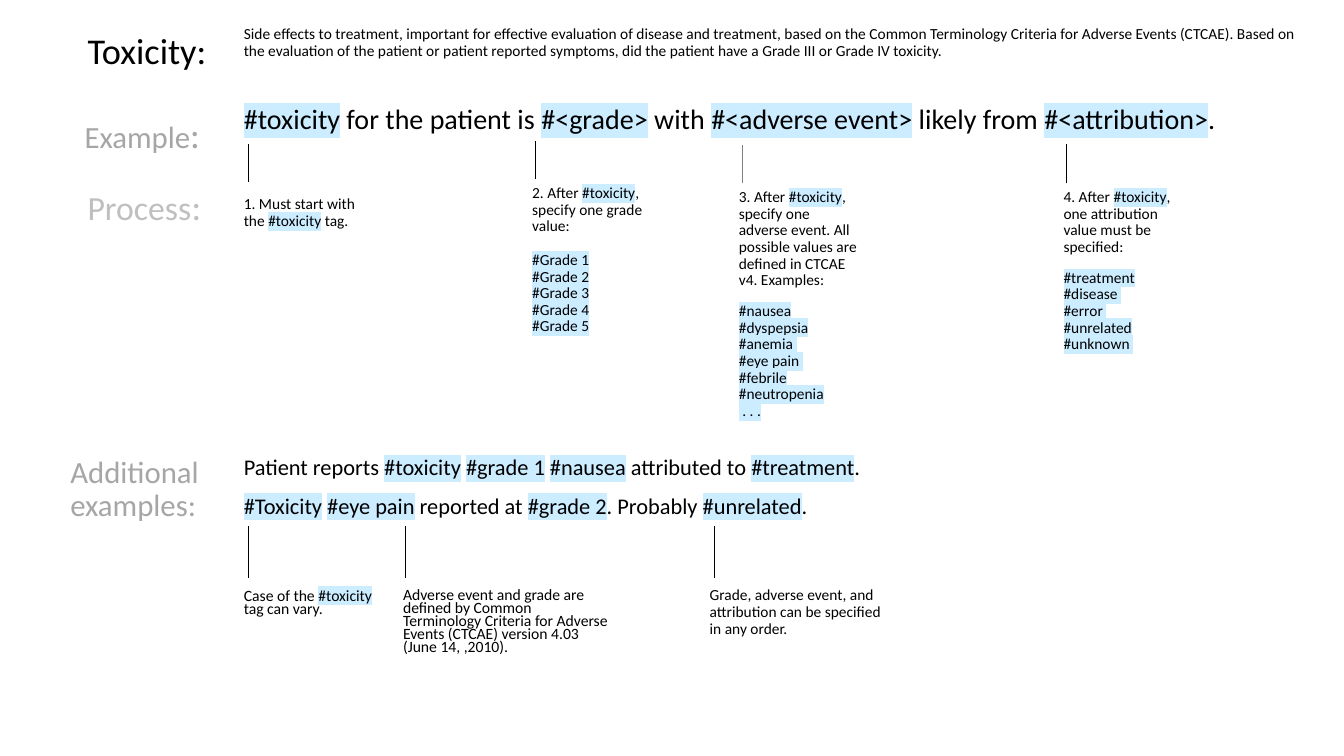
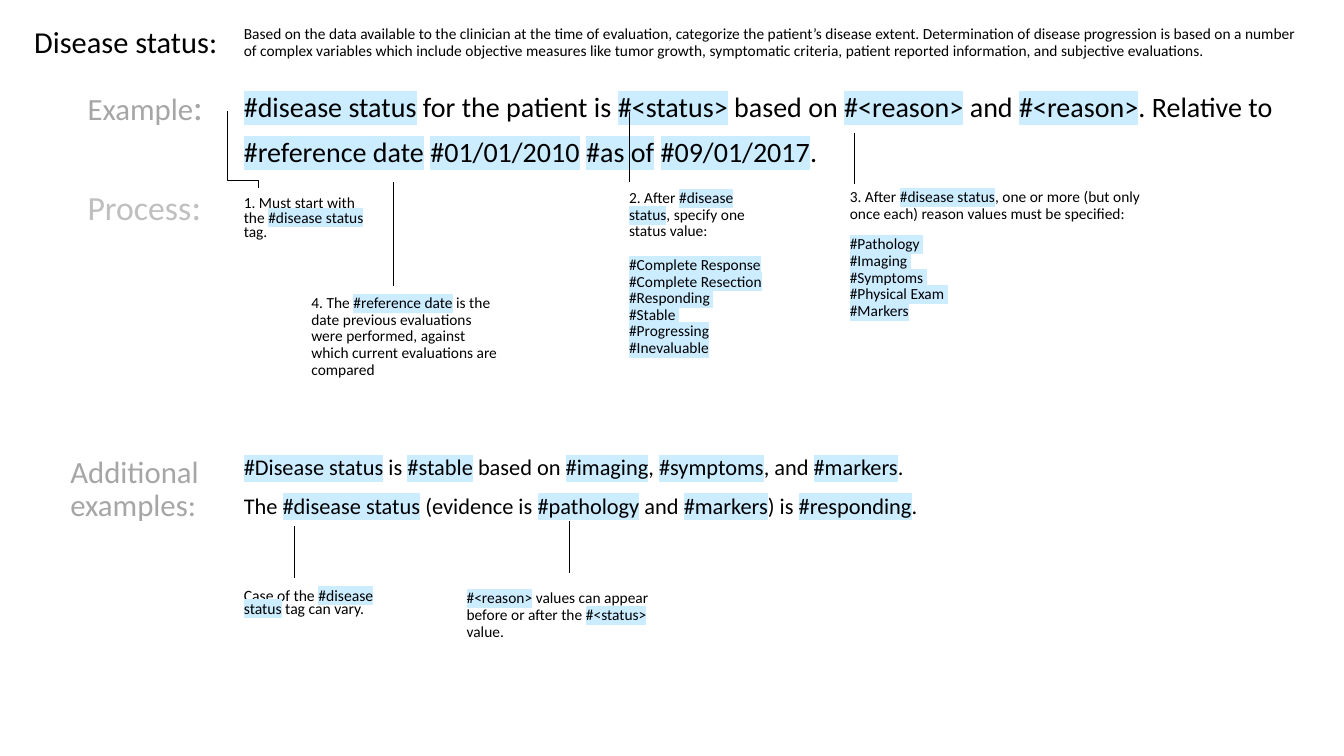
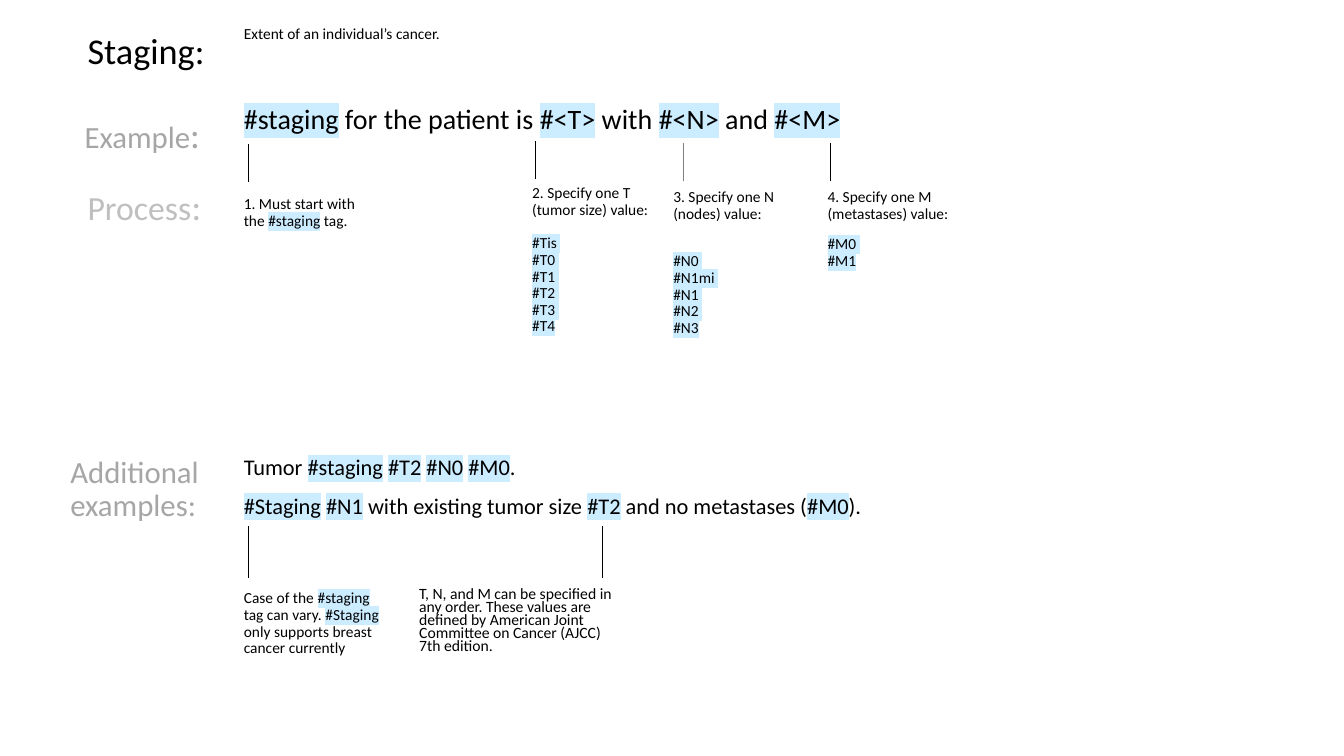
from copy import deepcopy
from dataclasses import dataclass

from lxml.etree import SubElement
from pptx import Presentation
from pptx.dml.color import RGBColor
from pptx.enum.shapes import MSO_CONNECTOR
from pptx.oxml import parse_xml
from pptx.oxml.ns import nsdecls, qn
from pptx.util import Emu, Pt

PX = 9144  # 100 px to the inch


@dataclass(frozen=True)
class Theme:
    font: str = "Calibri"
    ink: str = "000000"
    label: str = "A6A6A6"
    process: str = "BFBFBF"
    faint_line: str = "808080"
    tag: str = "CCECFF"
    title_size: float = 25.9
    example_size: float = 20
    more_size: float = 16
    note_size: float = 11
    label_size: float = 22
    line_width: float = 0.5
    spacing: float = 0.9
    gap: float = 10


THEME = Theme()
TIGHT = dict(size=11.2, spacing=0.7)
BLANK_LINE = dict(gap=12)

# Parts found on every slide; text between bars is marked
DEFINITION_AT = (232, 21, 1067, 57)
START_AT = (232, 190, 153, 57)
START = "1. Must start with the |{}| tag."
MORE_AT = (232, 448, 813, 107)
EXAMPLE_LABEL = "Example|:|"
FIXED_LABELS = [
    ("Process|:|", (77, 183, 140, 57),
     dict(size=24.1, color=THEME.process, mark_size=25.9)),
    ("Additional examples:", (60, 448, 157, 57),
     dict(size=THEME.label_size, color=THEME.label)),
]

# Notes: paragraphs, box, format. Pointers: x, top, bottom, colour.
SLIDES = [
    dict(
        title=("Toxicity:", (77, 28, 140, 57), {}),
        definition="Side effects to treatment, important for effective evaluation of disease and "
                   "treatment, based on the Common Terminology Criteria for Adverse Events (CTCAE). "
                   "Based on the evaluation of the patient or patient reported symptoms, did the "
                   "patient have a Grade III or Grade IV toxicity.",
        label_at=(74, 111, 138, 57),
        example=(["|#toxicity| for the patient is |#<grade>| with |#<adverse event>| "
                  "likely from |#<attribution>|."], (232, 100, 1031, 57)),
        start=("#toxicity", {}),
        notes=[
            (["2. After |#toxicity|, specify one grade value:",
              "|#Grade 1\n#Grade 2\n#Grade 3\n#Grade 4\n#Grade 5|"],
             (518, 179, 140, 187), BLANK_LINE),
            (["3. After |#toxicity|, specify one adverse event. All possible values are "
              "deﬁned in CTCAE v4. Examples:",
              "|#nausea\n#dyspepsia\n#anemia \n#eye pain \n#febrile\n#neutropenia\n . . .|"],
             (723, 183, 140, 200), {}),
            (["4. After |#toxicity|, one attribution value must be speciﬁed:",
              "|#treatment\n#disease \n#error \n#unrelated\n#unknown |"],
             (1045, 183, 140, 210), {}),
            (["Case of the |#toxicity| tag can vary."], (232, 581, 158, 54), TIGHT),
            (["Adverse event and grade are deﬁned by Common Terminology Criteria for Adverse "
              "Events (CTCAE) version 4.03 (June 14, ,2010)."], (390, 580, 224, 79), TIGHT),
            (["Grade, adverse event, and attribution can be speciﬁed in any order."],
             (694, 578, 198, 57), {}),
        ],
        more=["Patient reports |#toxicity| |#grade 1| |#nausea| attributed to |#treatment|.",
              "|#Toxicity| |#eye pain| reported at |#grade 2|. Probably |#unrelated|."],
        pointers=[(246, 143, 181, THEME.ink), (531, 140, 178, THEME.ink),
                  (736, 144, 182, THEME.faint_line), (1058, 143, 182, THEME.ink),
                  (246, 522, 573, THEME.ink), (402, 522, 573, THEME.ink),
                  (709, 522, 573, THEME.ink)],
    ),
    dict(
        title=("Disease status:", (24, 28, 208, 57), dict(size=21.7, spacing=0.7)),
        definition="Based on the data available to the clinician at the time of evaluation, "
                   "categorize the patient’s disease extent. Determination of disease progression "
                   "is based on a number of complex variables which include objective measures "
                   "like tumor growth, symptomatic criteria, patient reported information, and "
                   "subjective evaluations.",
        label_at=(77, 83, 138, 57),
        example=(["|#disease status| for the patient is |#<status>| based on |#<reason>| and "
                  "|#<reason>|. Relative to",
                  "|#reference date| |#01/01/2010| |#as of| |#09/01/2017|."],
                 (232, 88, 1077, 69)),
        start=("#disease status", dict(spacing=0.8)),
        notes=[
            (["2. After |#disease status|, specify one status value:",
              "|#Complete Response\n#Complete Resection\n#Responding \n#Stable \n"
              "#Progressing\n#Inevaluable|"],
             (614, 184, 159, 187), BLANK_LINE),
            (["3. After |#disease status|, one or more (but only once each) reason values must "
              "be speciﬁed:",
              "|#Pathology \n#Imaging \n#Symptoms \n#Physical Exam \n#Markers|"],
             (833, 183, 318, 210), {}),
            (["4. The |#reference date| is the date previous evaluations were performed, "
              "against which current evaluations are compared"], (299, 288, 206, 111), {}),
            (["Case of the |#disease status| tag can vary."], (232, 581, 158, 54), TIGHT),
            (["|#<reason>| values can appear before or after the |#<status>| value."],
             (453, 581, 224, 79), {}),
        ],
        more=["|#Disease status| is |#stable| based on |#imaging|, |#symptoms|, and |#markers|.",
              "The |#disease status| (evidence is |#pathology| and |#markers|) is |#responding|."],
        pointers=[(624, 111, 181, THEME.ink), (847, 132, 183, THEME.ink),
                  (390, 181, 284, THEME.ink), (292, 522, 573, THEME.ink),
                  (565, 517, 568, THEME.ink)],
        bend=((225, 110), (256, 187), 0.9),
    ),
    dict(
        title=("Staging:", (77, 28, 140, 57), {}),
        definition="Extent of an individual’s cancer.",
        label_at=(74, 111, 138, 57),
        example=(["|#staging| for the patient is |#<T>| with |#<N>| and |#<M>|"],
                 (232, 100, 1031, 57)),
        start=("#staging", {}),
        notes=[
            (["2. Specify one T (tumor size) value:",
              "|#Tis \n#T0 \n#T1 \n#T2 \n#T3 \n#T4|"], (518, 179, 140, 187), BLANK_LINE),
            (["3. Specify one N (nodes) value:",
              "|#N0 \n#N1mi \n#N1 \n#N2 \n#N3|"], (658, 183, 140, 200), dict(gap=22)),
            (["4. Specify one M (metastases) value:", "|#M0 \n#M1|"],
             (811, 183, 140, 210), {}),
            (["Case of the |#staging| tag can vary. |#Staging| only supports breast cancer "
              "currently"], (232, 581, 158, 86), {}),
            (["T, N, and M can be speciﬁed in any order. These values are deﬁned by American "
              "Joint Committee on Cancer (AJCC) 7th edition."], (406, 579, 224, 79), TIGHT),
        ],
        more=["Tumor |#staging| |#T2| |#N0| |#M0|.",
              "|#Staging| |#N1| with existing tumor size |#T2| and no metastases (|#M0|)."],
        pointers=[(246, 143, 181, THEME.ink), (531, 140, 178, THEME.ink),
                  (678, 142, 180, THEME.faint_line), (824, 142, 180, THEME.ink),
                  (246, 522, 573, THEME.ink), (597, 522, 573, THEME.ink)],
    ),
]


def px(*lengths):
    return [Emu(round(length * PX)) for length in lengths]


def add_words(paragraph, words, size, color, highlight):
    for index, line in enumerate(words.split("\n")):
        if index:
            paragraph.add_line_break()
            paragraph._p[-1].append(deepcopy(properties))
        run = paragraph.add_run()
        run.text = line
        run.font.size = Pt(size)
        run.font.name = THEME.font
        run.font.color.rgb = RGBColor.from_string(color)
        properties = run._r.get_or_add_rPr()
        if highlight:
            properties.find(qn("a:solidFill")).addnext(parse_xml(
                f'<a:highlight {nsdecls("a")}><a:srgbClr val="{THEME.tag}"/></a:highlight>'))


def add_text(slide, paragraphs, at, *, size=THEME.note_size, color=THEME.ink,
             spacing=THEME.spacing, gap=THEME.gap, mark_size=None):
    """Text between bars is highlighted, or set in mark_size when that is given."""
    frame = slide.shapes.add_textbox(*px(*at)).text_frame
    frame.word_wrap = True
    for index, text in enumerate(paragraphs):
        paragraph = frame.add_paragraph() if index else frame.paragraphs[0]
        paragraph.line_spacing = spacing
        paragraph.space_before = Pt(gap if index else THEME.gap)
        for part, words in enumerate(text.split("|")):
            marked = part % 2 == 1
            if words:
                add_words(paragraph, words, mark_size if marked and mark_size else size,
                          color, marked and not mark_size)


def add_line(slide, kind, start, end, color):
    line = slide.shapes.add_connector(kind, *px(*start, *end))
    line.line.color.rgb = RGBColor.from_string(color)
    line.line.width = Pt(THEME.line_width)
    SubElement(line._element.spPr, qn("a:effectLst"))
    return line


def add_bend(slide, start, end, turn):
    """Down, across, down: a sideways elbow turned a quarter about its centre."""
    center_x, center_y = (start[0] + end[0]) / 2, (start[1] + end[1]) / 2
    across, down = (end[0] - start[0]) / 2, (end[1] - start[1]) / 2
    bend = add_line(slide, MSO_CONNECTOR.ELBOW, (center_x + down, center_y - across),
                    (center_x - down, center_y + across), THEME.ink)
    bend.rotation = 270 if hasattr(bend, "rotation") else None
    properties = bend._element.spPr
    properties.find(qn("a:xfrm")).set("rot", str(270 * 60000))
    adjustments = properties.find(qn("a:prstGeom")).get_or_add_avLst()
    SubElement(adjustments, qn("a:gd"), name="adj1", fmla=f"val {round(turn * 100000)}")


def build_slide(deck, content):
    slide = deck.slides.add_slide(deck.slide_layouts[6])

    # Title, definition and row labels
    title, title_at, title_format = content["title"]
    add_text(slide, [title], title_at, **{"size": THEME.title_size, **title_format})
    add_text(slide, [content["definition"]], DEFINITION_AT)
    add_text(slide, [EXAMPLE_LABEL], content["label_at"], size=THEME.label_size,
             color=THEME.label, mark_size=26)
    for label, at, label_format in FIXED_LABELS:
        add_text(slide, [label], at, **label_format)

    # Example sentences and their notes
    add_text(slide, *content["example"], size=THEME.example_size)
    tag, start_format = content["start"]
    add_text(slide, [START.format(tag)], START_AT, **start_format)
    for paragraphs, at, note_format in content["notes"]:
        add_text(slide, paragraphs, at, **note_format)
    add_text(slide, content["more"], MORE_AT, size=THEME.more_size)

    # Pointers from sentences to notes
    for x, top, bottom, color in content["pointers"]:
        add_line(slide, MSO_CONNECTOR.STRAIGHT, (x, bottom), (x, top), color)
    if "bend" in content:
        add_bend(slide, *content["bend"])


def main():
    deck = Presentation()
    deck.slide_width, deck.slide_height = px(1333, 750)
    for content in SLIDES:
        build_slide(deck, content)
    deck.save("out.pptx")


if __name__ == "__main__":
    main()
